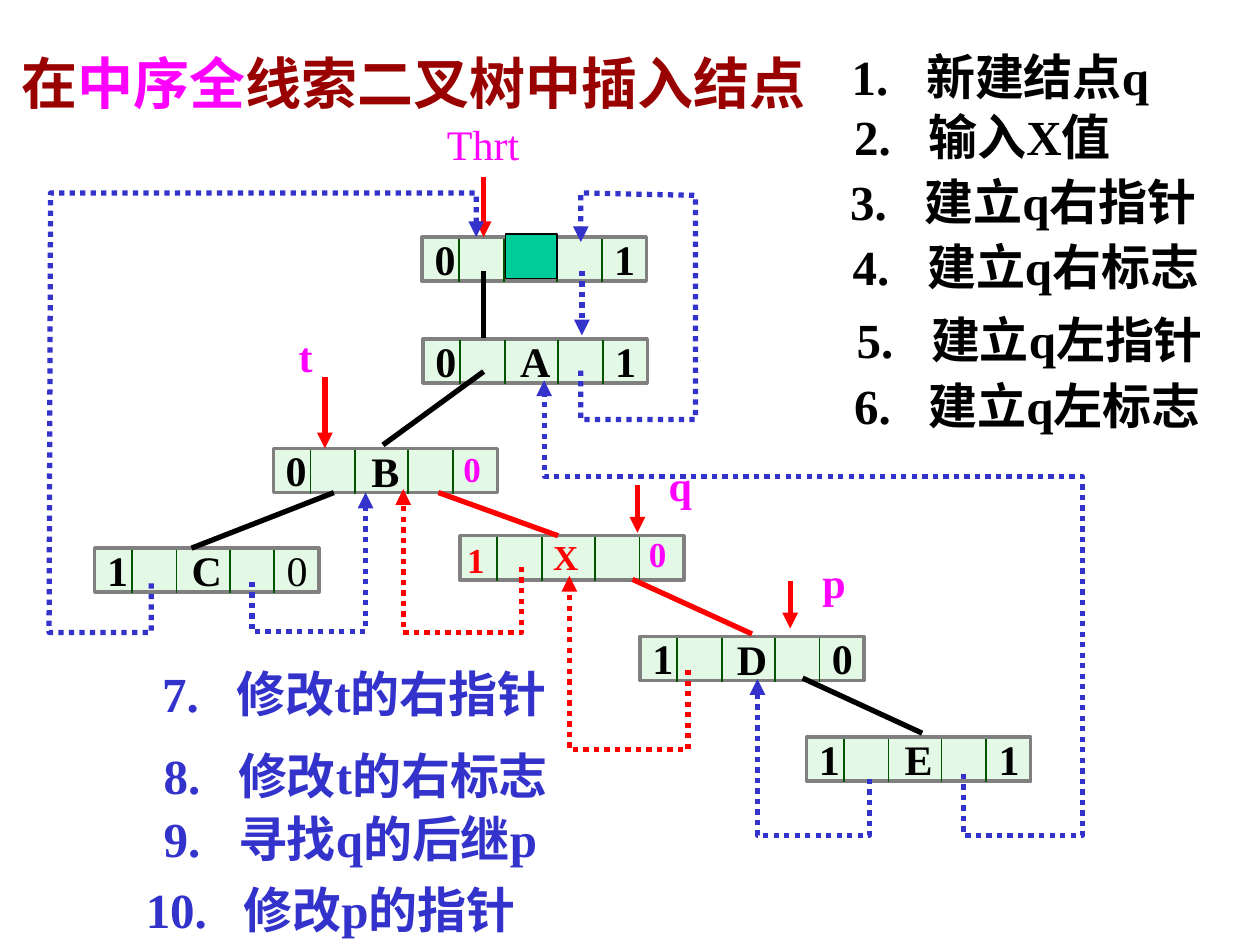
"""Build the slide on inserting a node into an in-order threaded binary tree."""
from lxml.etree import SubElement
from pptx import Presentation
from pptx.dml.color import RGBColor
from pptx.enum.dml import MSO_LINE
from pptx.enum.shapes import MSO_CONNECTOR, MSO_SHAPE
from pptx.enum.text import MSO_ANCHOR, PP_ALIGN
from pptx.oxml.ns import qn
from pptx.util import Cm, Pt

FONT = "Times New Roman"
BLACK = RGBColor(0x00, 0x00, 0x00)
RED = RGBColor(0xFF, 0x00, 0x00)
MAGENTA = RGBColor(0xFF, 0x00, 0xFF)
BLUE = RGBColor(0x33, 0x33, 0xCC)
MAROON = RGBColor(0x99, 0x00, 0x00)
MINT = RGBColor(0xCA, 0xF2, 0xCE)
GRAY = RGBColor(0x80, 0x80, 0x80)
GREEN = RGBColor(0x00, 0x54, 0x00)
TEAL = RGBColor(0x00, 0xCC, 0x99)

TITLE = [("在", MAROON), ("中序全", MAGENTA), ("线索二叉树中插入结点", MAROON)]

NODE_W, NODE_H = 4.52, 0.89
DIVIDERS = [0.75, 1.65, 2.72, 3.62]
NODES = [
    ("", 8.51, 4.78, "0", "1"),
    ("A", 8.53, 6.83, "0", "1"),
    ("B", 5.51, 9.04, "0", ""),
    ("C", 1.91, 11.05, "1", "0"),
    ("", 9.27, 10.8, "", ""),
    ("D", 12.9, 12.83, "1", "0"),
    ("E", 16.26, 14.86, "1", "1"),
]
PLAIN_TAG = ("C", "0")

EDGES = [
    (RED, (8.84, 9.93), (11.25, 10.8)),
    (RED, (12.75, 11.68), (15.16, 12.78)),
    (BLACK, (6.73, 9.93), (3.86, 11.05)),
    (BLACK, (9.75, 5.46), (9.75, 6.81)),
    (BLACK, (9.75, 7.49), (7.72, 8.97)),
    (BLACK, (16.18, 13.67), (18.59, 14.78)),
]
POINTERS = [
    (12.85, 9.78, 10.74),
    (6.55, 7.59, 9.04),
    (9.75, 3.56, 4.78),
    (15.93, 11.71, 12.67),
]
THREADS = [
    (BLUE, [(3.05, 11.76), (3.05, 12.75), (0.99, 12.75), (1.02, 3.89), (9.6, 3.89), (9.6, 4.78)]),
    (BLUE, [(11.71, 7.47), (11.71, 8.46), (14.02, 8.46), (14.02, 3.94), (11.71, 3.89), (11.71, 4.88)]),
    (BLUE, [(5.08, 11.73), (5.08, 12.73), (7.37, 12.73), (7.37, 9.93)]),
    (RED, [(13.87, 13.51), (13.87, 15.11), (11.48, 15.11), (11.48, 11.61)]),
    (BLUE, [(17.53, 15.7), (17.53, 16.84), (15.27, 16.84), (15.27, 13.69)]),
    (RED, [(10.52, 11.43), (10.52, 12.75), (8.13, 12.75), (8.13, 9.86)]),
    (BLUE, [(19.43, 15.6), (19.43, 16.84), (21.82, 16.84), (21.82, 9.6), (10.97, 9.6), (10.97, 7.67)]),
]
LABELS = [
    ("Thrt", 8.76, 2.26, 24, MAGENTA, False),
    ("t", 5.77, 6.53, 24, MAGENTA, True),
    ("q", 13.23, 9.14, 24, MAGENTA, True),
    ("p", 16.33, 11.1, 24, MAGENTA, True),
    ("0", 9.09, 8.89, 20, MAGENTA, True),
    ("1", 9.17, 10.74, 20, RED, True),
    ("X", 10.9, 10.67, 20, RED, True),
    ("0", 12.83, 10.62, 20, MAGENTA, True),
]
STEPS = [
    ("新建结点q", 16.92, 0.81),
    ("输入X值", 16.97, 2.03),
    ("建立q右指针", 16.89, 3.33),
    ("建立q右标志", 16.94, 4.65),
    ("建立q左指针", 17.02, 6.12),
    ("建立q左标志", 16.97, 7.44),
    ("修改t的右指针", 3.02, 13.26),
    ("修改t的右标志", 3.05, 14.91),
    ("寻找q的后继p", 3.05, 16.18),
    ("修改p的指针", 2.69, 17.6),
]
INSERT_STEPS = 6


def style_run(r, size, color, bold=True):
    r.font.name, r.font.size, r.font.bold = FONT, Pt(size), bold
    r.font.color.rgb = color


def add_text(s, text, x, y, w, h, size, color, bold=True, spacing=None, tab=None):
    tf = s.shapes.add_textbox(Cm(x), Cm(y), Cm(w), Cm(h)).text_frame
    tf.word_wrap = True
    p = tf.paragraphs[0]
    p.text = text
    p.line_spacing = spacing
    if tab:
        tabs = SubElement(p._p.get_or_add_pPr(), qn("a:tabLst"))
        SubElement(tabs, qn("a:tab"), pos=str(Cm(tab)), algn="l")
    for r in p.runs:
        style_run(r, size, color, bold)


def style_line(sp, color, width, dotted=False, arrow=False):
    sp.line.color.rgb = color
    sp.line.width = Pt(width)
    if dotted:
        sp.line.dash_style = MSO_LINE.ROUND_DOT
    if arrow:
        SubElement(sp.element.spPr.find(qn("a:ln")), qn("a:tailEnd"), type="triangle")


def add_line(s, start, end, color, width=3, dotted=False, arrow=False):
    sp = s.shapes.add_connector(MSO_CONNECTOR.STRAIGHT, *map(Cm, start + end))
    style_line(sp, color, width, dotted, arrow)
    SubElement(sp.element.spPr, qn("a:effectLst"))


def add_thread(s, color, points):
    (x, y), *rest = [(Cm(px), Cm(py)) for px, py in points]
    builder = s.shapes.build_freeform(x, y)
    builder.add_line_segments(rest, close=False)
    sp = builder.convert_to_shape()
    sp.shadow.inherit = False
    sp.fill.background()
    style_line(sp, color, 3, True, True)


def add_box(s, x, y, w, h, fill, line, width):
    sp = s.shapes.add_shape(MSO_SHAPE.RECTANGLE, Cm(x), Cm(y), Cm(w), Cm(h))
    sp.shadow.inherit = False
    sp.fill.solid()
    sp.fill.fore_color.rgb = fill
    style_line(sp, line, width)
    return sp


def add_node(s, name, x, y, left_tag, right_tag):
    sp = add_box(s, x, y, NODE_W, NODE_H, MINT, GRAY, 2)
    color = sp.element.spPr.find(qn("a:solidFill")).find(qn("a:srgbClr"))
    SubElement(color, qn("a:alpha"), val="50000")
    if name:
        tf = sp.text_frame
        tf.word_wrap = False
        tf.vertical_anchor = MSO_ANCHOR.MIDDLE
        p = tf.paragraphs[0]
        p.text = name
        p.alignment = PP_ALIGN.CENTER
        style_run(p.runs[0], 24, BLACK)
    for dx in DIVIDERS:
        add_line(s, (x + dx, y + 0.03), (x + dx, y + 0.91), GREEN, 1)
    for tag, dx in ((left_tag, 0), (right_tag, DIVIDERS[-1])):
        if tag:
            add_text(s, tag, x + dx, y, 0.91, 1.07, 24, BLACK, (name, tag) != PLAIN_TAG, 0.8)


def add_title(s):
    tf = s.shapes.add_textbox(Cm(0.18), Cm(0.58), Cm(16.54), Cm(1.9)).text_frame
    tf.word_wrap = False
    p = tf.paragraphs[0]
    p.line_spacing = 1.2
    for text, color in TITLE:
        r = p.add_run()
        r.text = text
        style_run(r, 32, color)


def main():
    prs = Presentation()
    prs.slide_width, prs.slide_height = Cm(25.4), Cm(19.05)
    s = prs.slides.add_slide(prs.slide_layouts[6])
    for node in NODES:
        add_node(s, *node)
    for color, start, end in EDGES:
        add_line(s, start, end, color)
    for x, top, bottom in POINTERS:
        add_line(s, (x, top), (x, bottom), RED, arrow=True)
    add_line(s, (11.73, 5.46), (11.73, 6.76), BLUE, dotted=True, arrow=True)
    for color, points in THREADS:
        add_thread(s, color, points)
    add_box(s, 10.19, 4.72, 1.04, 0.89, TEAL, BLACK, 0.75)
    for text, x, y, size, color, bold in LABELS:
        add_text(s, text, x, y, 2.69 if len(text) > 1 else 1.42, 1.2, size, color, bold)
    for number, (text, x, y) in enumerate(STEPS, 1):
        color, width = (BLACK, 8.3) if number <= INSERT_STEPS else (BLUE, 9)
        tab = 1.5 if number < 10 else 1.97
        add_text(s, f"{number}.\t{text}", x, y, width, 1.45, 28, color, tab=tab)
    add_title(s)
    prs.save("out.pptx")


if __name__ == "__main__":
    main()
